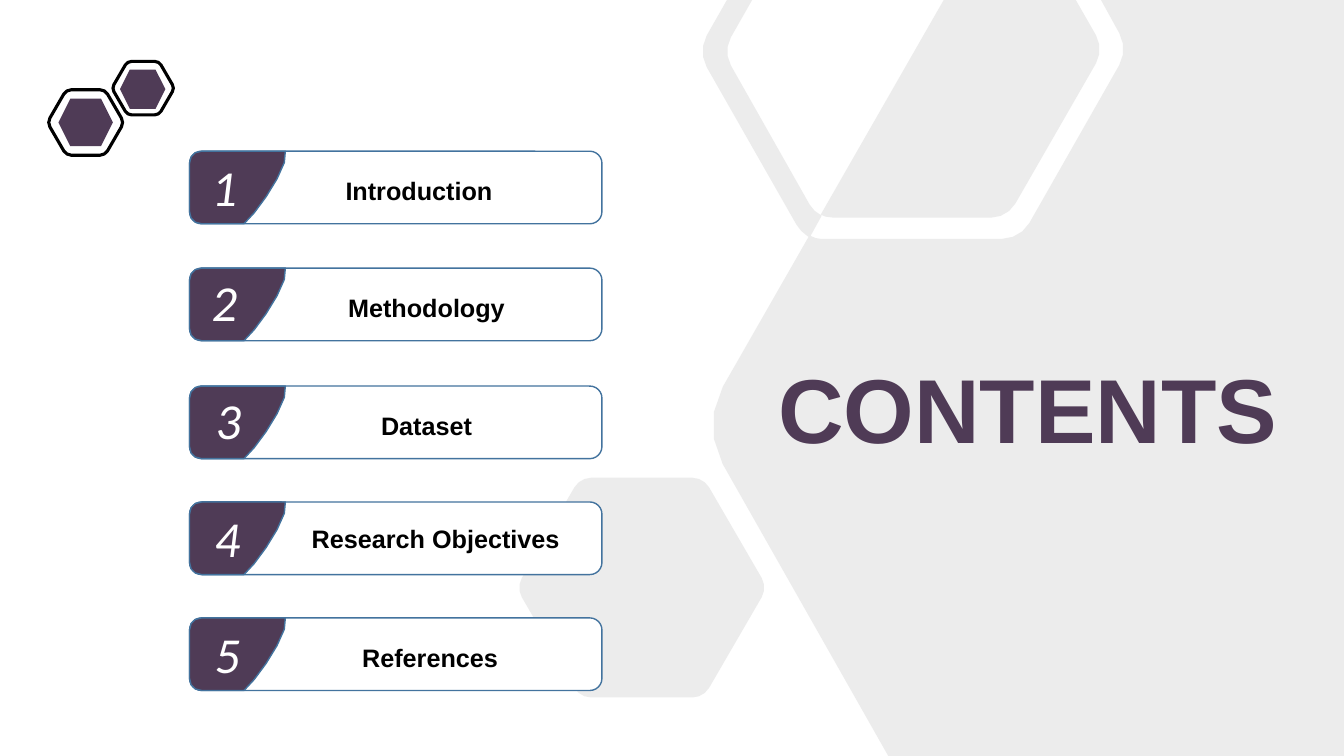
from dataclasses import dataclass

import pptx
import pptx.dml.color
import pptx.enum.shapes
import pptx.enum.text
import pptx.oxml
import pptx.oxml.ns
import pptx.util
from pptx.dml.color import RGBColor
from pptx.util import Inches

PLUM = RGBColor(0x4F, 0x3B, 0x56)
STEEL = RGBColor(0x43, 0x73, 0x9E)
GRAY = RGBColor(0x80, 0x80, 0x80)
BLACK = RGBColor(0x00, 0x00, 0x00)
WHITE = RGBColor(0xFF, 0xFF, 0xFF)
Shapes = pptx.enum.shapes.MSO_SHAPE
Point = tuple[float, float]


@dataclass(frozen=True)
class Corner:
    x: float
    y: float
    cut: float = 0


@dataclass(frozen=True)
class Hexagon:
    left: float
    top: float
    width: float
    height: float
    cut: float = 0

    def corners(self) -> list[Corner]:
        slant = self.height * 0.29
        right, bottom = self.left + self.width, self.top + self.height
        middle = self.top + self.height / 2
        outline = [(self.left + slant, self.top), (right - slant, self.top), (right, middle),
                   (right - slant, bottom), (self.left + slant, bottom), (self.left, middle)]
        return [Corner(x, y, self.cut) for x, y in outline]


@dataclass(frozen=True)
class Entry:
    label: str
    top: float
    indent: float
    drop: float
    digit_left: float
    digit_shift: float


ENTRIES = [
    Entry("Introduction", 1.5, 0.46, 0.06, 2.0, 0),
    Entry("Methodology", 2.66, 0.61, 0.06, 2.0, -0.02),
    Entry("Dataset", 3.83, 0.61, 0.06, 2.04, -0.02),
    Entry("Research Objectives", 4.98, 0.79, 0, 2.03, 0),
    Entry("References", 6.13, 0.68, 0.06, 2.03, 0),
]
ROW_LEFT, ROW_WIDTH, ROW_HEIGHT = 1.88, 4.09, 0.72

BACKDROP = [
    Hexagon(5.12, 4.74, 2.49, 2.18, 0.11).corners(),
    [Corner(9.36, 0), Corner(10.67, 0), Corner(10.95, 0.49, 0.16), Corner(9.99, 2.16, 0.16),
     Corner(8.27, 2.16), Corner(8.19, 2.15), Corner(8.14, 2.13)],
    [Corner(7.21, 0), Corner(7.46, 0), Corner(7.17, 0.51, 0.16), Corner(8.07, 2.1, 0.08),
     Corner(8.15, 2.14), Corner(8.04, 2.34), Corner(8.09, 2.37, 0.05),
     Corner(10.12, 2.37, 0.18), Corner(11.19, 0.49, 0.18), Corner(10.92, 0),
     Corner(13.33, 0), Corner(13.33, 7.5), Corner(8.81, 7.5), Corner(6.95, 4.22, 0.44),
     Corner(8.02, 2.35), Corner(7.94, 2.3, 0.08), Corner(6.92, 0.51, 0.18)],
]


def bezier(a: Point, b: Point, c: Point, d: Point, steps: int) -> list[Point]:
    points = []
    for step in range(steps + 1):
        t = step / steps
        u = 1 - t
        weights = (u ** 3, 3 * u * u * t, 3 * u * t * t, t ** 3)
        points.append((sum(w * p[0] for w, p in zip(weights, (a, b, c, d))),
                       sum(w * p[1] for w, p in zip(weights, (a, b, c, d)))))
    return points


def toward(start: Corner, end: Corner, distance: float) -> Point:
    share = distance / ((end.x - start.x) ** 2 + (end.y - start.y) ** 2) ** 0.5
    return start.x + (end.x - start.x) * share, start.y + (end.y - start.y) * share


def rounded(corners: list[Corner]) -> list[Point]:
    points = []
    for index, corner in enumerate(corners):
        if not corner.cut:
            points.append((corner.x, corner.y))
            continue
        before, after = corners[index - 1], corners[(index + 1) % len(corners)]
        handle = corner.cut * 0.4
        steps = 2 if corner.cut < 0.1 else 3
        points += bezier(toward(corner, before, corner.cut), toward(corner, before, handle),
                         toward(corner, after, handle), toward(corner, after, corner.cut), steps)
    return points


def paint(shape, fill: RGBColor | None, line: RGBColor | None = None, weight: float = 1) -> None:
    shape.shadow.inherit = False
    if fill is None:
        shape.fill.background()
    else:
        shape.fill.solid()
        shape.fill.fore_color.rgb = fill
    if line is None:
        shape.line.fill.background()
    else:
        shape.line.color.rgb = line
        shape.line.width = pptx.util.Pt(weight)


def add_outline(slide, contours: list[list[Corner]]):
    builder = None
    for contour in contours:
        points = [(Inches(x), Inches(y)) for x, y in rounded(contour)]
        if builder is None:
            builder = slide.shapes.build_freeform(*points[0], scale=1.0)
        else:
            builder.move_to(*points[0])
        builder.add_line_segments(points[1:], close=True)
    return builder.convert_to_shape()


def add_span(para, text: str, size: float, font: str, color: RGBColor,
             bold: bool = False, italic: bool = False) -> None:
    span = para.add_run()
    span.text = text
    span.font.size = pptx.util.Pt(size)
    span.font.name = font
    span.font.color.rgb = color
    span.font.bold = bold
    span.font.italic = italic


def add_box(slide, left: float, top: float, width: float, height: float):
    box = slide.shapes.add_textbox(Inches(left), Inches(top), Inches(width), Inches(height))
    box.text_frame.word_wrap = True
    return box


def add_entry(slide, number: int, entry: Entry) -> None:
    top = entry.top
    bar = slide.shapes.add_shape(Shapes.ROUNDED_RECTANGLE, Inches(ROW_LEFT), Inches(top),
                                 Inches(ROW_WIDTH), Inches(ROW_HEIGHT))
    paint(bar, WHITE, STEEL)
    frame = bar.text_frame
    frame.word_wrap = True
    frame.vertical_anchor = pptx.enum.text.MSO_ANCHOR.MIDDLE
    frame.margin_left = Inches(0.1 + entry.indent)
    frame.margin_top = Inches(0.05 + entry.drop)
    para = frame.paragraphs[0]
    para.alignment = pptx.enum.text.PP_ALIGN.CENTER
    add_span(para, entry.label, 18, "Arial", BLACK, bold=True)

    bottom = top + ROW_HEIGHT
    curve = bezier((2.83, top), (2.88, top + 0.13), (2.56, bottom - 0.12), (2.42, bottom), 5)
    badge = [Corner(ROW_LEFT, top, 0.12), *(Corner(x, y) for x, y in curve),
             Corner(ROW_LEFT, bottom, 0.12)]
    paint(add_outline(slide, [badge]), PLUM, STEEL)

    digit = add_box(slide, entry.digit_left, top + entry.digit_shift, 0.43, 0.71)
    digit.text_frame.auto_size = pptx.enum.text.MSO_AUTO_SIZE.SHAPE_TO_FIT_TEXT
    add_span(digit.text_frame.paragraphs[0], str(number), 36, "Calibri", WHITE, italic=True)


def main() -> None:
    deck = pptx.Presentation()
    deck.slide_width, deck.slide_height = Inches(13.33), Inches(7.5)
    slide = deck.slides.add_slide(deck.slide_layouts[6])

    backdrop = add_outline(slide, BACKDROP)
    paint(backdrop, GRAY)
    color = backdrop.fill._xPr.find(".//" + pptx.oxml.ns.qn("a:srgbClr"))
    color.append(pptx.oxml.parse_xml(
        f'<a:alpha {pptx.oxml.ns.nsdecls("a")} val="15000"/>'))

    title = add_box(slide, 7.62, 3.57, 5.3, 1.19)
    title.text_frame.vertical_anchor = pptx.enum.text.MSO_ANCHOR.MIDDLE
    title.text_frame.margin_bottom = Inches(0.17)
    para = title.text_frame.paragraphs[0]
    para.line_spacing = 0.9
    add_span(para, "CONTENTS", 64.8, "Arial", PLUM, bold=True)

    for ring in (Hexagon(0.47, 0.89, 0.76, 0.65, 0.05), Hexagon(1.11, 0.61, 0.62, 0.53, 0.04)):
        paint(add_outline(slide, [ring.corners()]), None, BLACK, 2.25)

    for number, entry in enumerate(ENTRIES, start=1):
        add_entry(slide, number, entry)

    for core in (Hexagon(0.58, 0.98, 0.54, 0.47), Hexagon(1.19, 0.69, 0.45, 0.39)):
        shape = slide.shapes.add_shape(Shapes.HEXAGON, Inches(core.left), Inches(core.top),
                                       Inches(core.width), Inches(core.height))
        paint(shape, PLUM)

    deck.save("out.pptx")


if __name__ == "__main__":
    main()
